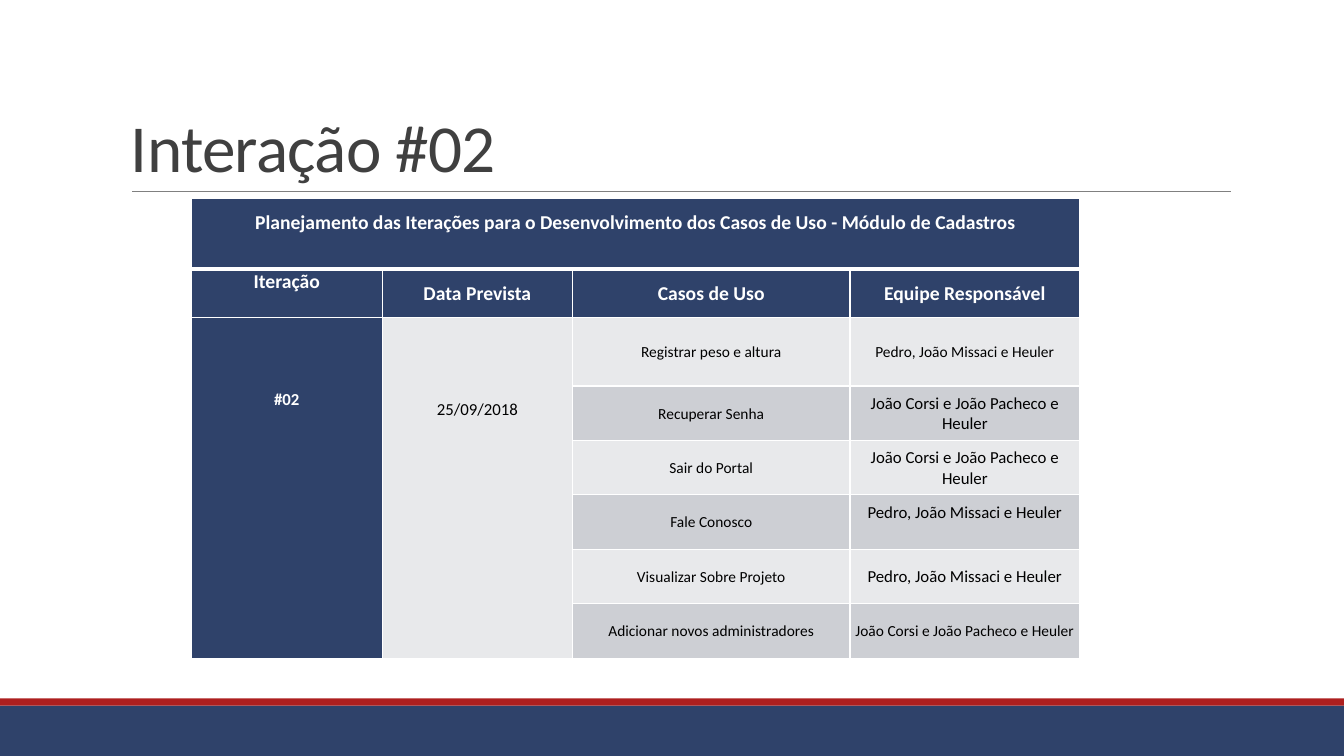
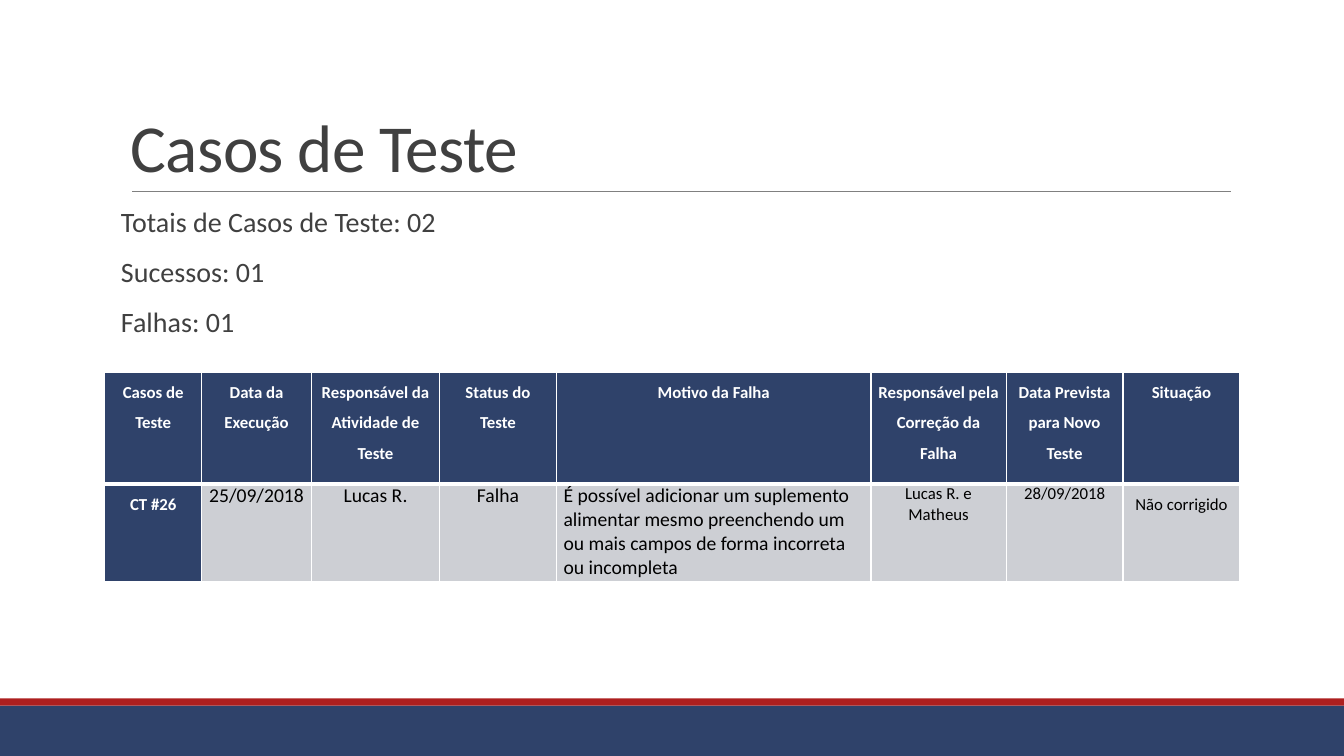
from dataclasses import dataclass, replace

from lxml.etree import SubElement
from pptx import Presentation
from pptx.dml.color import RGBColor
from pptx.enum.shapes import MSO_CONNECTOR, MSO_SHAPE
from pptx.enum.text import MSO_ANCHOR, PP_ALIGN
from pptx.oxml.ns import qn
from pptx.util import Inches, Pt

WIDTH, HEIGHT = 13.33, 7.5
FONT = "Calibri"
NAVY, RED, GRAY, INK = "2F426A", "AD1F1F", "808080", "404040"
WHITE, BLACK, LIGHT, MEDIUM = "FFFFFF", "000000", "E8E9EB", "CDCFD4"


@dataclass(frozen=True)
class Look:
    """Appearance of one table cell; lengths in inches, size in points."""
    fill: str
    color: str = BLACK
    size: int = 12
    bold: bool = False
    spacing: float = 1.0
    align: PP_ALIGN = PP_ALIGN.CENTER
    anchor: MSO_ANCHOR = MSO_ANCHOR.TOP
    side: float = 0.07
    top: float = 0
    bottom: float = 0


HEADING = Look(NAVY, WHITE, bold=True, spacing=1.5)
DETAIL = Look(MEDIUM)
COMPACT = Look(LIGHT, anchor=MSO_ANCHOR.MIDDLE, side=0.01, top=0.01)


def rgb(value):
    return RGBColor.from_string(value)


def inches(box):
    return [Inches(length) for length in box]


def format_paragraph(para, size, color, bold=False, spacing=1.0):
    para.line_spacing = spacing
    for span in para.runs:
        span.font.name = FONT
        span.font.size = Pt(size)
        span.font.bold = bold
        span.font.color.rgb = rgb(color)


def add_band(page, box, color):
    band = page.shapes.add_shape(MSO_SHAPE.RECTANGLE, *inches(box))
    band.shadow.inherit = False
    band.fill.solid()
    band.fill.fore_color.rgb = rgb(color)
    band.line.fill.background()


def add_rule(page, left, right, y):
    rule = page.shapes.add_connector(
        MSO_CONNECTOR.STRAIGHT, *inches((left, y, right, y)))
    rule.line.color.rgb = rgb(GRAY)
    rule.line.width = Pt(0.5)
    SubElement(rule._element.spPr, qn("a:effectLst"))


def add_text(page, box, lines, side):
    frame = page.shapes.add_textbox(*inches(box)).text_frame
    frame.word_wrap = True
    frame.margin_left = frame.margin_right = Inches(side)
    frame.text = "\n".join(lines)
    return frame


def add_page(deck, title):
    """Add a slide with the shared bands, title and rule."""
    page = deck.slides.add_slide(deck.slide_layouts[6])
    add_band(page, (0, 7, WIDTH, HEIGHT - 7), NAVY)
    add_band(page, (0, 6.93, WIDTH, 0.07), RED)
    add_rule(page, 1.31, 12.21, 1.9)
    frame = add_text(page, (1.2, 0.31, 11, 1.59), [title], 0.1)
    frame.vertical_anchor = MSO_ANCHOR.BOTTOM
    para = frame.paragraphs[0]
    format_paragraph(para, 48, INK, spacing=0.85)
    para.runs[0].font._element.set("spc", "-50")
    return page


def add_borders(cell, top, bottom):
    """Draw white borders; top and bottom are widths in points."""
    properties = cell._tc.get_or_add_tcPr()
    for edge, width in (("L", 1), ("R", 1), ("T", top), ("B", bottom)):
        line = SubElement(properties, qn(f"a:ln{edge}"), w=str(Pt(width)))
        fill = SubElement(line, qn("a:solidFill"))
        SubElement(fill, qn("a:srgbClr"), val=WHITE)


def fill_cell(cell, text, look):
    cell.fill.solid()
    cell.fill.fore_color.rgb = rgb(look.fill)
    cell.margin_left = cell.margin_right = Inches(look.side)
    cell.margin_top = Inches(look.top)
    cell.margin_bottom = Inches(look.bottom)
    cell.vertical_anchor = look.anchor
    cell.text = text
    para = cell.text_frame.paragraphs[0]
    para.alignment = look.align
    format_paragraph(para, look.size, look.color, look.bold, look.spacing)


def add_grid(page, left, top, widths, heights, rows, merges=()):
    """Add a table of (text, look) rows, with a thick line below the first."""
    box = (left, top, sum(widths), sum(heights))
    table = page.shapes.add_table(
        len(rows), len(widths), *inches(box)).table
    table.first_row = table.horz_banding = False
    for column, width in zip(table.columns, widths):
        column.width = Inches(width)
    for r, (row, height, entries) in enumerate(zip(table.rows, heights, rows)):
        row.height = Inches(height)
        for cell, (text, look) in zip(row.cells, entries):
            add_borders(cell, 3 if r == 1 else 1, 3 if r == 0 else 1)
            fill_cell(cell, text, look)
    for first, last in merges:
        table.cell(*first).merge(table.cell(*last))


def build_plan(deck):
    page = add_page(deck, "Interação #02")
    banner = replace(HEADING, size=14)
    heading = replace(COMPACT, fill=NAVY, color=WHITE, size=14, bold=True)
    trio = "Pedro, João Missaci e Heuler"
    group = "João Corsi e João Pacheco e Heuler"
    use_cases = [
        ("Registrar peso e altura", trio, {"size": 11}),
        ("Recuperar Senha", group, {}),
        ("Sair do Portal", group, {}),
        ("Fale Conosco", trio, {"bottom": 0.2}),
        ("Visualizar Sobre Projeto", trio, {}),
        ("Adicionar novos administradores", group, {"size": 11}),
    ]
    title = ("Planejamento das Iterações para o Desenvolvimento dos "
             "Casos de Uso - Módulo de Cadastros")
    rows = [
        [(title, banner)] + [("", banner)] * 3,
        [("Iteração", replace(heading, anchor=MSO_ANCHOR.TOP))]
        + [(text, heading) for text in
           ("Data Prevista", "Casos de Uso", "Equipe Responsável")],
    ]
    number = replace(HEADING, top=0.61)
    date = replace(DETAIL, fill=LIGHT, top=0.81)
    for index, (use_case, team, changes) in enumerate(use_cases):
        look = replace(COMPACT, fill=MEDIUM if index % 2 else LIGHT)
        rows.append([
            ("" if index else "#02", number if not index else HEADING),
            ("" if index else "25/09/2018", date if not index else DETAIL),
            (use_case, replace(look, size=11)),
            (team, replace(look, **changes)),
        ])
    add_grid(page, 1.9, 1.97, [1.89, 1.89, 2.75, 2.28],
             [0.7, 0.48, 0.68] + [0.54] * 5, rows,
             [((0, 0), (0, 3)), ((2, 0), (7, 0)), ((2, 1), (7, 1))])


def build_tests(deck):
    page = add_page(deck, "Casos de Teste")
    totals = ["Totais de Casos de Teste: 02", "Sucessos: 01", "Falhas: 01"]
    frame = add_text(page, (1.2, 2.02, 11, 1.66), totals, 0)
    for index, para in enumerate(frame.paragraphs):
        format_paragraph(para, 20, INK, spacing=0.9)
        para.space_before = Pt(12 if index else 0)
        para.space_after = Pt(2)
    headings = [
        "Casos de Teste", "Data da Execução",
        "Responsável da Atividade de Teste", "Status do Teste",
        "Motivo da Falha", "Responsável pela Correção da Falha",
        "Data Prevista para Novo Teste", "Situação",
    ]
    large = replace(DETAIL, size=14)
    reason = ("É possível adicionar um suplemento alimentar mesmo preenchendo "
              "um ou mais campos de forma incorreta ou incompleta")
    failure = [
        ("CT #26", HEADING),
        ("25/09/2018", large),
        ("Lucas R.", large),
        ("Falha", large),
        (reason, replace(large, align=PP_ALIGN.LEFT)),
        ("Lucas R. e Matheus", DETAIL),
        ("28/09/2018", DETAIL),
        ("Não corrigido", replace(DETAIL, spacing=1.5)),
    ]
    add_grid(page, 1.04, 3.69, [0.96, 1.09, 1.27, 1.16, 3.12, 1.34, 1.16, 1.16],
             [1.11, 0.97], [[(text, HEADING) for text in headings], failure])


def main():
    deck = Presentation()
    deck.slide_width, deck.slide_height = inches((WIDTH, HEIGHT))
    build_plan(deck)
    build_tests(deck)
    deck.save("out.pptx")


if __name__ == "__main__":
    main()
